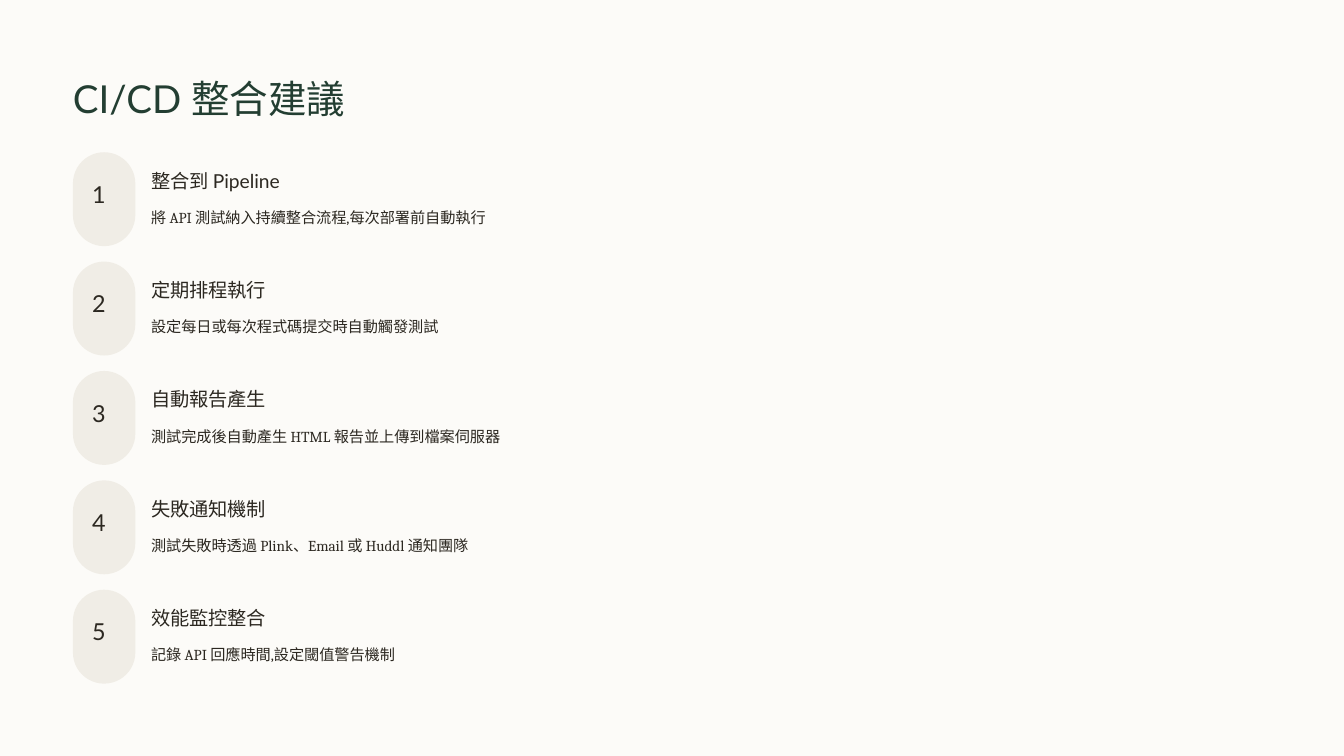
from dataclasses import dataclass

from pptx import Presentation
from pptx.dml.color import RGBColor
from pptx.enum.shapes import MSO_SHAPE as Preset
from pptx.enum.text import MSO_ANCHOR as Anchor, MSO_AUTO_SIZE as AutoSize, PP_ALIGN as Align
from pptx.shapes.autoshape import Shape
from pptx.slide import Slide
from pptx.util import Pt

CREAM = RGBColor(0xFC, 0xFB, 0xF8)
SAND = RGBColor(0xF0, 0xED, 0xE6)
GREEN = RGBColor(0x23, 0x3E, 0x32)
INK = RGBColor(0x2C, 0x28, 0x21)

# Lengths in points
LEFT = 62.5
FIRST_TOP = 130.5
ROW_PITCH = 93.75
PILL_WIDTH, PILL_HEIGHT = 53.5, 80.5
TEXT_LEFT = 129.5


@dataclass(frozen=True)
class TextStyle:
    font: str
    size: float
    line: float
    color: RGBColor


@dataclass(frozen=True)
class Step:
    heading: str
    detail: str


TITLE = TextStyle("Lato", 33, 41.5, GREEN)
NUMBER = TextStyle("Lato", 20, 20, INK)
HEADING = TextStyle("Lato", 16.5, 20.5, INK)
DETAIL = TextStyle("Cambria", 13, 21, INK)

STEPS = [
    Step("整合到 Pipeline", "將 API 測試納入持續整合流程,每次部署前自動執行"),
    Step("定期排程執行", "設定每日或每次程式碼提交時自動觸發測試"),
    Step("自動報告產生", "測試完成後自動產生 HTML 報告並上傳到檔案伺服器"),
    Step("失敗通知機制", "測試失敗時透過 Plink、Email 或 Huddl 通知團隊"),
    Step("效能監控整合", "記錄 API 回應時間,設定閾值警告機制"),
]


def write(box: Shape, text: str, style: TextStyle) -> None:
    """Fill a box with one left-aligned line of text."""
    frame = box.text_frame
    frame.margin_left = frame.margin_top = frame.margin_right = frame.margin_bottom = 0
    frame.auto_size = AutoSize.NONE
    frame.word_wrap = False
    frame.vertical_anchor = Anchor.TOP
    frame.text = text
    para = frame.paragraphs[0]
    para.alignment = Align.LEFT
    para.line_spacing = Pt(style.line)
    font = para.runs[0].font
    font.name = style.font
    font.size = Pt(style.size)
    font.color.rgb = style.color


def add_text(page: Slide, text: str, style: TextStyle,
             left: float, top: float, width: float, height: float) -> None:
    box = page.shapes.add_textbox(Pt(left), Pt(top), Pt(width), Pt(height))
    write(box, text, style)


def add_step(page: Slide, number: int, step: Step) -> None:
    top = FIRST_TOP + (number - 1) * ROW_PITCH
    pill = page.shapes.add_shape(Preset.ROUNDED_RECTANGLE, Pt(LEFT), Pt(top),
                                 Pt(PILL_WIDTH), Pt(PILL_HEIGHT))
    pill.adjustments[0] = 0.5
    pill.shadow.inherit = False
    pill.fill.solid()
    pill.fill.fore_color.rgb = SAND
    pill.line.fill.background()
    add_text(page, str(number), NUMBER, 79, top + 27.75, 20, 25)
    add_text(page, step.heading, HEADING, TEXT_LEFT, top + 13.5, 168, 21)
    add_text(page, step.detail, DETAIL, TEXT_LEFT, top + 42.5, 960, 21.5)


def main() -> None:
    deck = Presentation()
    deck.slide_width, deck.slide_height = Pt(1152), Pt(648)
    page = deck.slides.add_slide(deck.slide_layouts.get_by_name("Title Only"))
    page.background.fill.solid()
    page.background.fill.fore_color.rgb = CREAM

    # Title
    title = page.shapes.title
    title.left, title.top, title.width, title.height = Pt(LEFT), Pt(62), Pt(335), Pt(42)
    write(title, "CI/CD 整合建議", TITLE)

    # Numbered steps
    for number, step in enumerate(STEPS, start=1):
        add_step(page, number, step)

    deck.save("out.pptx")


if __name__ == "__main__":
    main()
